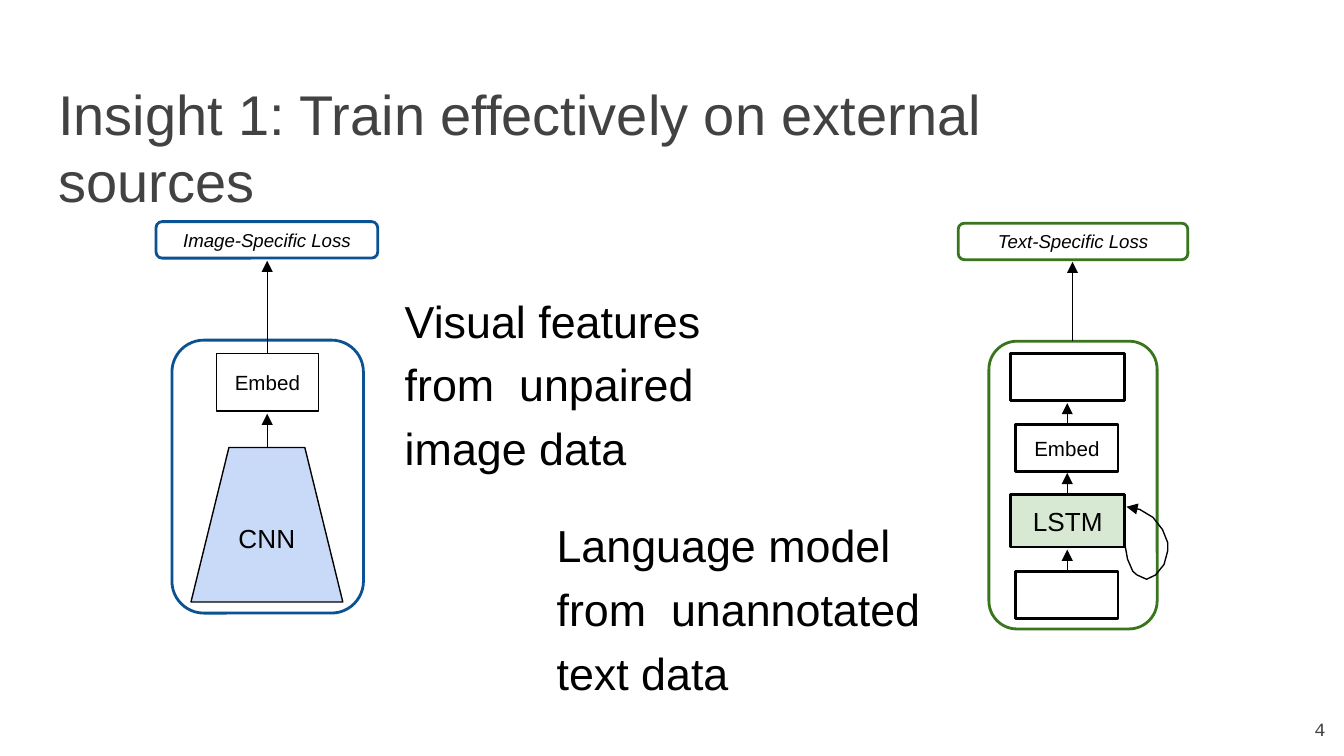
from typing import NamedTuple, Optional

from lxml import etree
from pptx import Presentation
from pptx import util as u
from pptx.dml.color import RGBColor
from pptx.enum import shapes, text
from pptx.oxml import ns

COLOURS = {
    "black": "000000",
    "title": "424242",
    "image": "0B5293",
    "text": "38751C",
    "cnn": "C8DAF7",
    "lstm": "D8E9D3",
}
RECTANGLE = shapes.MSO_SHAPE.RECTANGLE
ROUNDED = shapes.MSO_SHAPE.ROUNDED_RECTANGLE
TRAPEZOID = shapes.MSO_SHAPE.TRAPEZOID


class Block(NamedTuple):
    kind: shapes.MSO_SHAPE
    left: float
    top: float
    width: float
    height: float
    label: str = ""
    size: float = 11
    italic: bool = False
    fill: Optional[str] = None
    line: str = "black"
    weight: float = 1.5


class Arrow(NamedTuple):
    x: float
    start: float
    end: float


class Note(NamedTuple):
    left: float
    top: float
    width: float
    height: float
    words: str
    size: float = 24
    font: str = "Arial"
    colour: str = "black"
    spacing: float = 1.19
    inset: float = 0.03


BLOCKS = [
    Block(ROUNDED, 18.69, 6.45, 3.18, 5.44, line="text"),
    Block(ROUNDED, 3.25, 6.43, 3.62, 5.16, line="image"),
    Block(TRAPEZOID, 3.61, 8.46, 2.87, 2.92, "CNN", 14, fill="cnn", weight=0.75),
    Block(RECTANGLE, 4.09, 6.68, 1.93, 1.09, "Embed", weight=0.75),
    Block(ROUNDED, 2.95, 4.19, 4.19, 0.69, "Image-Specific Loss", 10, True, line="image"),
    Block(ROUNDED, 18.11, 4.22, 4.34, 0.69, "Text-Specific Loss", 10, True, line="text"),
    Block(RECTANGLE, 19.1, 6.68, 2.16, 0.89),
    Block(RECTANGLE, 19.2, 8.03, 1.93, 0.89, "Embed"),
    Block(RECTANGLE, 19.1, 9.35, 2.16, 0.99, "LSTM", 14, fill="lstm"),
    Block(RECTANGLE, 19.2, 10.8, 1.93, 0.89),
]
ARROWS = [
    Arrow(5.05, 8.46, 7.82),
    Arrow(5.05, 6.68, 4.93),
    Arrow(20.27, 6.45, 4.95),
    Arrow(20.17, 10.8, 10.39),
    Arrow(20.17, 9.35, 8.94),
    Arrow(20.17, 8.03, 7.62),
]
LOOP = [
    (21.26, 10.29), (21.31, 10.57), (21.41, 10.8), (21.49, 10.87), (21.67, 10.95),
    (21.84, 10.87), (22, 10.67), (22.07, 10.41), (22.07, 10.26), (21.97, 10.01),
    (21.79, 9.78), (21.54, 9.63), (21.29, 9.58),
]
NOTES = [
    Note(7.62, 5.28, 7.16, 2.08, "Visual features from  unpaired image data"),
    Note(10.49, 9.53, 7.8, 2.08, "Language model from  unannotated text data"),
    Note(24.74, 13.49, 0.43, 0.51, "4", 10, "Courier New", "title", 1.0, 0.1),
]


def colour(name: str) -> RGBColor:
    return RGBColor.from_string(COLOURS[name])


def write(frame, words: str, size: float, font: str = "Arial", ink: str = "black",
          inset: float = 0):
    frame.word_wrap = True
    frame.auto_size = text.MSO_AUTO_SIZE.NONE
    frame.margin_left = u.Cm(inset)
    frame.margin_right = frame.margin_top = frame.margin_bottom = 0
    frame.text = words
    paragraph = frame.paragraphs[0]
    paragraph.font.size = u.Pt(size)
    paragraph.font.name = font
    paragraph.font.color.rgb = colour(ink)
    return paragraph


def add_block(slide, block: Block) -> None:
    shape = slide.shapes.add_shape(
        block.kind, *map(u.Cm, (block.left, block.top, block.width, block.height)))
    shape.shadow.inherit = False
    if block.fill:
        shape.fill.solid()
        shape.fill.fore_color.rgb = colour(block.fill)
    else:
        shape.fill.background()
    shape.line.color.rgb = colour(block.line)
    shape.line.width = u.Pt(block.weight)
    if block.label:
        paragraph = write(shape.text_frame, block.label, block.size)
        paragraph.font.italic = block.italic
        paragraph.alignment = text.PP_ALIGN.CENTER
        shape.text_frame.vertical_anchor = text.MSO_ANCHOR.MIDDLE


def point_line(shape) -> None:
    shape.line.color.rgb = colour("black")
    shape.line.width = u.Pt(0.75)
    outline = shape.line._get_or_add_ln()
    etree.SubElement(outline, ns.qn("a:tailEnd"), type="triangle", w="med", len="med")


def add_arrow(slide, arrow: Arrow) -> None:
    connector = slide.shapes.add_connector(
        shapes.MSO_CONNECTOR.STRAIGHT,
        *map(u.Cm, (arrow.x, arrow.start, arrow.x, arrow.end)))
    point_line(connector)
    etree.SubElement(connector._element.spPr, ns.qn("a:effectLst"))


def add_loop(slide, points: list) -> None:
    start, *rest = [(u.Cm(x), u.Cm(y)) for x, y in points]
    builder = slide.shapes.build_freeform(*start)
    builder.add_line_segments(rest, close=False)
    loop = builder.convert_to_shape()
    loop.shadow.inherit = False
    loop.fill.background()
    point_line(loop)


def add_note(slide, note: Note) -> None:
    box = slide.shapes.add_textbox(
        *map(u.Cm, (note.left, note.top, note.width, note.height)))
    paragraph = write(box.text_frame, note.words, note.size, note.font, note.colour, note.inset)
    box.text_frame.margin_top = u.Cm(0.07)
    paragraph.line_spacing = note.spacing


def add_title(slide, words: str) -> None:
    title = slide.shapes.title
    title.left, title.top, title.width, title.height = map(u.Cm, (1.07, 1.5, 17.75, 1.35))
    paragraph = write(title.text_frame, words, 30, ink="title", inset=0.03)
    paragraph.alignment = text.PP_ALIGN.LEFT
    title.text_frame.vertical_anchor = text.MSO_ANCHOR.TOP


def main() -> None:
    presentation = Presentation()
    presentation.slide_width, presentation.slide_height = u.Cm(25.4), u.Cm(14.29)
    slide = presentation.slides.add_slide(presentation.slide_layouts[5])
    add_title(slide, "Insight 1: Train effectively on external sources")
    for block in BLOCKS:
        add_block(slide, block)
    for arrow in ARROWS:
        add_arrow(slide, arrow)
    add_loop(slide, LOOP)
    for note in NOTES:
        add_note(slide, note)
    presentation.save("out.pptx")


main()
